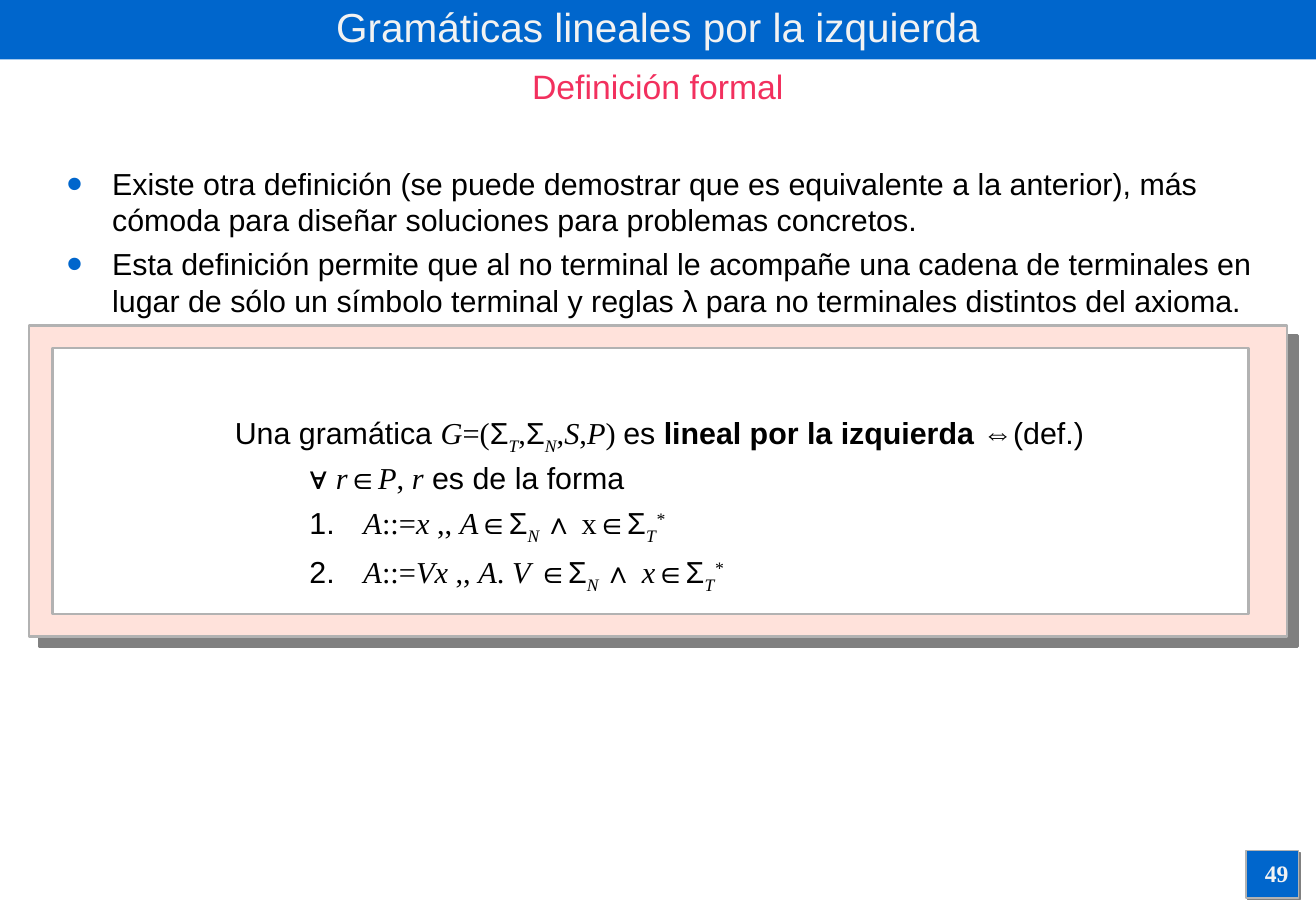
import pptx
import pptx.dml.color
import pptx.enum.shapes
import pptx.enum.text
import pptx.util
from lxml import etree
from pptx.oxml.ns import qn

Pt = pptx.util.Pt
ALIGN = pptx.enum.text.PP_ALIGN
ANCHOR = pptx.enum.text.MSO_ANCHOR
BLUE, BORDER, LIGHT = "0066CC", "B2B2B2", "F2F2F2"
SANS, SERIF = "Arial", "Times New Roman"
SLIDE_WIDTH, SLIDE_HEIGHT = 780.13, 540

BULLETS = [
    "Existe otra definición (se puede demostrar que es equivalente a la anterior), "
    "más cómoda para diseñar soluciones para problemas concretos.",
    "Esta definición permite que al no terminal le acompañe una cadena de terminales "
    "en lugar de sólo un símbolo terminal y reglas λ para no terminales distintos del axioma.",
]
DEFINITION = [
    ("Una gramática ", "sans"), ("G", "italic"), ("=(", "serif"), ("Σ", "sans"),
    ("T", "sub"), (",", "serif"), ("Σ", "sans"), ("N", "sub"), (",", "serif"),
    ("S", "italic"), (",", "serif"), ("P", "italic"), (") ", "serif"), ("es ", "sans"),
    ("lineal por la izquierda ", "bold"), ("⇔(def.)", "sans"),
]
CONDITION = [
    ("∀ ", "sans"), ("r", "italic"), ("∈", "sans"), ("P", "italic"), (", ", "serif"),
    ("r", "italic"), (" es de la forma", "sans"),
]
IN_TERMINALS = [("∈Σ", "sans"), ("T", "sub"), ("*", "super")]
IN_NONTERMINALS = [("∈Σ", "sans"), ("N ", "sub")]
RULES = [
    [(" ", "sans"), ("A", "italic"), ("::=", "serif"), ("x", "italic"), (" ,, ", "serif"),
     ("A", "italic"), *IN_NONTERMINALS, ("∧", "sans"), (" x", "serif"), *IN_TERMINALS],
    [(" ", "sans"), ("A", "italic"), ("::=", "serif"), ("Vx", "italic"), (" ,, ", "serif"),
     ("A", "italic"), (". ", "serif"), ("V ", "italic"), *IN_NONTERMINALS,
     ("∧ ", "sans"), ("x", "italic"), *IN_TERMINALS],
]
STYLES = {
    "sans": (SANS, False, False, 0),
    "bold": (SANS, True, False, 0),
    "serif": (SERIF, False, False, 0),
    "italic": (SERIF, False, True, 0),
    "sub": (SERIF, False, True, -25000),
    "super": (SERIF, False, True, 30000),
}


def color(value):
    return pptx.dml.color.RGBColor.from_string(value)


def add_shadow(shape, distance):
    effects = shape._element.spPr.find(qn("a:effectLst"))
    shadow = etree.SubElement(effects, qn("a:outerShdw"), dist=str(Pt(distance)),
                              dir="2700000", algn="ctr", rotWithShape="0")
    etree.SubElement(shadow, qn("a:srgbClr"), val="808080")


def add_panel(slide, box, fill, line_width=0, shadow_distance=0):
    shape = slide.shapes.add_shape(pptx.enum.shapes.MSO_SHAPE.RECTANGLE, *map(Pt, box))
    shape.shadow.inherit = False
    shape.fill.solid()
    shape.fill.fore_color.rgb = color(fill)
    if line_width:
        shape.line.color.rgb = color(BORDER)
        shape.line.width = Pt(line_width)
    else:
        shape.line.fill.background()
    if shadow_distance:
        add_shadow(shape, shadow_distance)


def add_text_frame(slide, box, anchor=ANCHOR.TOP):
    frame = slide.shapes.add_textbox(*map(Pt, box)).text_frame
    frame.word_wrap = True
    frame.vertical_anchor = anchor
    return frame


def style_paragraph(paragraph, size, value, name=None, bold=None):
    paragraph.font.size = Pt(size)
    paragraph.font.color.rgb = color(value)
    paragraph.font.name = name
    paragraph.font.bold = bold


def add_label(slide, box, text, size, value, name=SANS, bold=None, anchor=ANCHOR.TOP):
    paragraph = add_text_frame(slide, box, anchor).paragraphs[0]
    paragraph.text = text
    paragraph.alignment = ALIGN.CENTER
    style_paragraph(paragraph, size, value, name, bold)


def add_marker(paragraph, tag, value, size, **attributes):
    properties = paragraph._p.get_or_add_pPr()
    marker_color = etree.SubElement(properties, qn("a:buClr"))
    etree.SubElement(marker_color, qn("a:srgbClr"), val=value)
    etree.SubElement(properties, qn("a:buSzPct"), val=str(size * 1000))
    etree.SubElement(properties, qn("a:buFont"), typeface=SANS)
    etree.SubElement(properties, qn(tag), **attributes)


def add_body_paragraph(frame, runs, margin, space_before=4.5):
    first = not frame.paragraphs[0].runs
    paragraph = frame.paragraphs[0] if first else frame.add_paragraph()
    paragraph.space_before = Pt(0 if first else space_before)
    properties = paragraph._p.get_or_add_pPr()
    properties.set("marL", str(Pt(margin)))
    properties.set("indent", str(Pt(-27)))
    for text, style in runs:
        run = paragraph.add_run()
        run.text = text
        run.font.name, bold, italic, baseline = STYLES[style]
        run.font.bold = bold or None
        run.font.italic = italic or None
        if baseline:
            run._r.get_or_add_rPr().set("baseline", str(baseline))
    return paragraph


def add_body(slide):
    frame = add_text_frame(slide, (32.4, 94.3, 717, 281))
    for text in BULLETS:
        paragraph = add_body_paragraph(frame, [(text, "sans")], 27)
        add_marker(paragraph, "a:buChar", BLUE, 150, char="•")
    add_body_paragraph(frame, DEFINITION, 27, 57).alignment = ALIGN.CENTER
    add_body_paragraph(frame, CONDITION, 171).line_spacing = 0.9
    for rule in RULES:
        paragraph = add_body_paragraph(frame, rule, 171)
        add_marker(paragraph, "a:buAutoNum", "000000", 100, type="arabicPeriod")
    for paragraph in frame.paragraphs:
        style_paragraph(paragraph, 18, "000000")


def main():
    presentation = pptx.Presentation()
    presentation.slide_width = Pt(SLIDE_WIDTH)
    presentation.slide_height = Pt(SLIDE_HEIGHT)
    slide = presentation.slides.add_slide(presentation.slide_layouts[6])
    add_panel(slide, (738.7, 504.3, 31, 28), BLUE, 0.75, 1.4)
    add_panel(slide, (0, 0, SLIDE_WIDTH, 35.3), BLUE)
    add_panel(slide, (17.1, 193, 746, 184.3), "FFE2DB", 1.5, 8.5)
    add_panel(slide, (31, 206.2, 709.2, 157.7), "FFFFFF", 1.5)
    add_body(slide)
    add_label(slide, (0, 0, 780, 31.5), "Gramáticas lineales por la izquierda", 24, LIGHT,
              anchor=ANCHOR.MIDDLE)
    add_label(slide, (0, 35.3, 780, 32), "Definición formal", 20, "F2305E")
    add_label(slide, (737.3, 505.7, 39, 25), "49", 14, LIGHT, SERIF, True)
    presentation.save("out.pptx")


if __name__ == "__main__":
    main()
